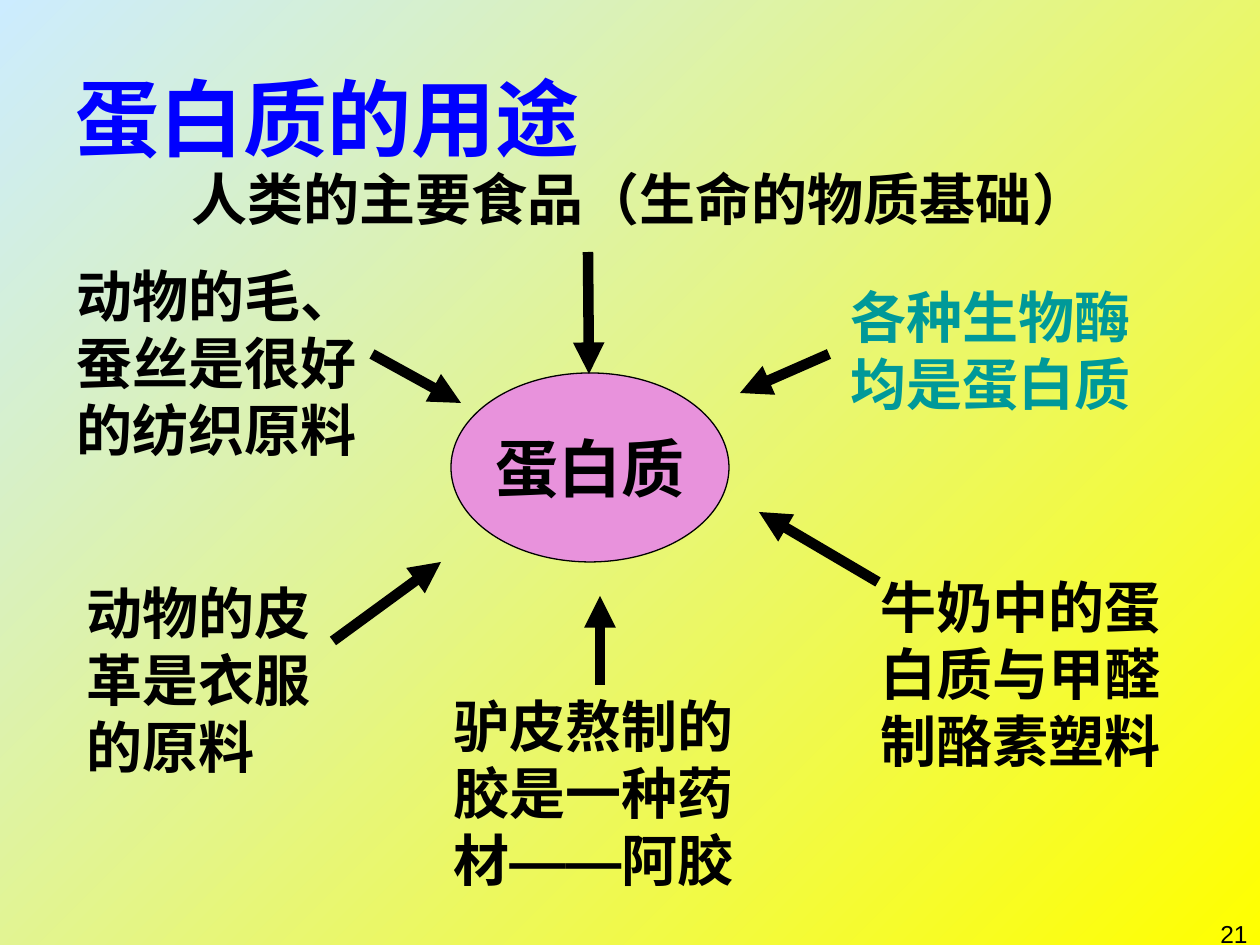
from lxml.etree import SubElement
from pptx import Presentation
from pptx.dml.color import RGBColor
from pptx.enum.shapes import MSO_CONNECTOR as Connector, MSO_SHAPE as Shape
from pptx.enum.text import MSO_ANCHOR as Anchor, PP_ALIGN as Align
from pptx.oxml.ns import qn
from pptx.util import Emu, Pt

EMU_PER_PX = 914400 / 126
SANS = "Arial"
CJK = "Noto Sans CJK SC"

BLACK = RGBColor(0x00, 0x00, 0x00)
BLUE = RGBColor(0x00, 0x00, 0xFF)
TEAL = RGBColor(0x00, 0x99, 0x99)
PINK = RGBColor(0xE8, 0x92, 0xDC)
YELLOW = RGBColor(0xFF, 0xFF, 0x00)
PALE_BLUE = RGBColor(0xCC, 0xEC, 0xFF)

LABEL_LEADING = Pt(38.4)

# Each use: box (left, top, width, height), arrow (from, to), colour, runs
USES = [
    ((64, 255, 318, 214), (372, 354, 461, 403), BLACK,
     [("动物的毛、蚕丝是很好的纺织原料", CJK)]),
    ((74, 572, 258, 214), (333, 641, 441, 562), BLACK,
     [("动物的皮革是衣服的原料", CJK)]),
    ((441, 685, 338, 214), (600, 685, 600, 596), BLACK,
     [("驴皮熬制的胶是一种药材", CJK), ("——", SANS), ("阿胶", CJK)]),
    ((868, 566, 338, 214), (878, 582, 759, 512), BLACK,
     [("牛奶中的蛋白质与甲醛制酪素塑料", CJK)]),
    ((838, 276, 338, 147), (829, 354, 740, 393), TEAL,
     [("各种生物酶均是蛋白质", CJK)]),
    ((179, 158, 935, 79), (588, 252, 589, 374), BLACK,
     [("人类的主要食品（", CJK), ("生命的物质基础）", SANS)]),
]


def px(*lengths):
    return [Emu(round(length * EMU_PER_PX)) for length in lengths]


def fill_background(slide):
    fill = slide.background.fill
    fill.gradient()
    for stop, color in zip(fill.gradient_stops, (YELLOW, PALE_BLUE)):
        stop.color.rgb = color
    # Radiate from the bottom right corner
    gradient = slide.element.find(".//" + qn("a:gradFill"))
    gradient.remove(gradient.find(qn("a:lin")))
    radial = SubElement(gradient, qn("a:path"), {"path": "circle"})
    SubElement(radial, qn("a:fillToRect"), {"l": "100000", "t": "100000"})


def write_text(shape, runs, size, color, bold=True, align=Align.LEFT,
               anchor=Anchor.TOP, wrap=True, leading=None):
    frame = shape.text_frame
    frame.word_wrap = wrap
    frame.vertical_anchor = anchor
    paragraph = frame.paragraphs[0]
    paragraph.alignment = align
    paragraph.line_spacing = leading
    for text, typeface in runs:
        run = paragraph.add_run()
        run.text = text
        run.font.color.rgb = color
        font_format = {"size": Pt(size), "bold": bold, "name": typeface}
        for name, value in font_format.items():
            setattr(run.font, name, value)
        east_asian = SubElement(run.font._element, qn("a:ea"))
        east_asian.set("typeface", typeface)


def add_text(slide, box, runs, size, color, **options):
    write_text(slide.shapes.add_textbox(*px(*box)), runs, size, color, **options)


def add_arrow(slide, ends):
    arrow = slide.shapes.add_connector(Connector.STRAIGHT, *px(*ends))
    arrow.line.width = Pt(6)
    arrow.line.color.rgb = BLACK
    SubElement(arrow.line._get_or_add_ln(), qn("a:tailEnd"), {"type": "triangle"})
    SubElement(arrow._element.spPr, qn("a:effectLst"))


def add_center(slide):
    ellipse = slide.shapes.add_shape(Shape.OVAL, *px(451, 373, 278, 189))
    ellipse.shadow.inherit = False
    ellipse.fill.solid()
    ellipse.fill.fore_color.rgb = PINK
    ellipse.line.color.rgb = BLACK
    ellipse.line.width = Pt(0.75)
    write_text(ellipse, [("蛋白质", SANS)], 36, BLACK, align=Align.CENTER,
               anchor=Anchor.MIDDLE, wrap=False)


def main():
    presentation = Presentation()
    presentation.slide_width, presentation.slide_height = px(1260, 945)
    slide = presentation.slides.add_slide(presentation.slide_layouts[6])
    fill_background(slide)

    # Title and central topic
    add_text(slide, (63, 38, 1134, 157), [("蛋白质的用途", SANS)], 48, BLUE,
             anchor=Anchor.MIDDLE)
    add_center(slide)

    # Uses pointing at the topic
    for box, ends, color, runs in USES:
        add_text(slide, box, runs, 32, color, leading=LABEL_LEADING)
        add_arrow(slide, ends)

    # Slide number
    add_text(slide, (1206, 913, 54, 32), [("21", SANS)], 14, BLACK,
             bold=False, align=Align.RIGHT)
    presentation.save("out.pptx")


if __name__ == "__main__":
    main()
